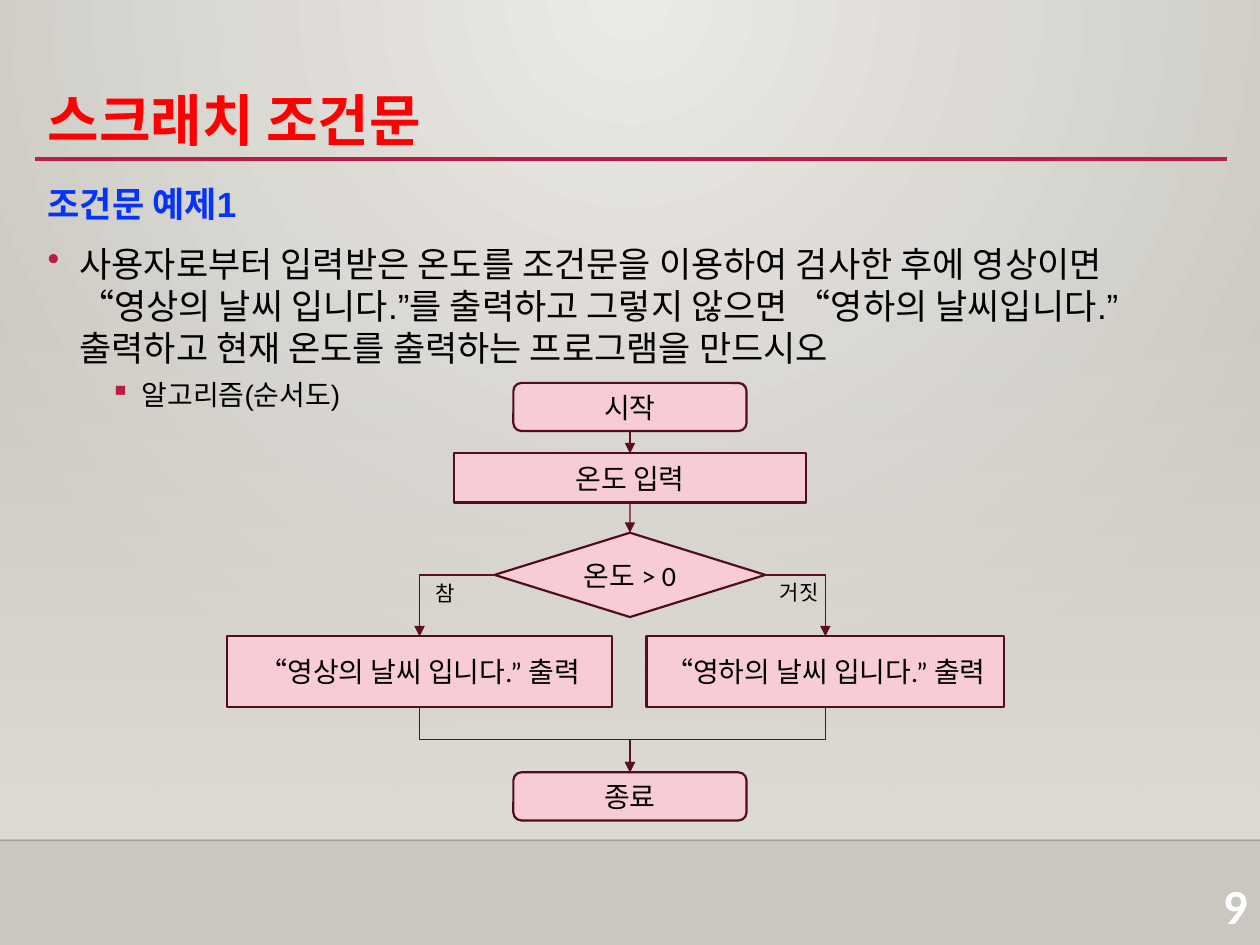
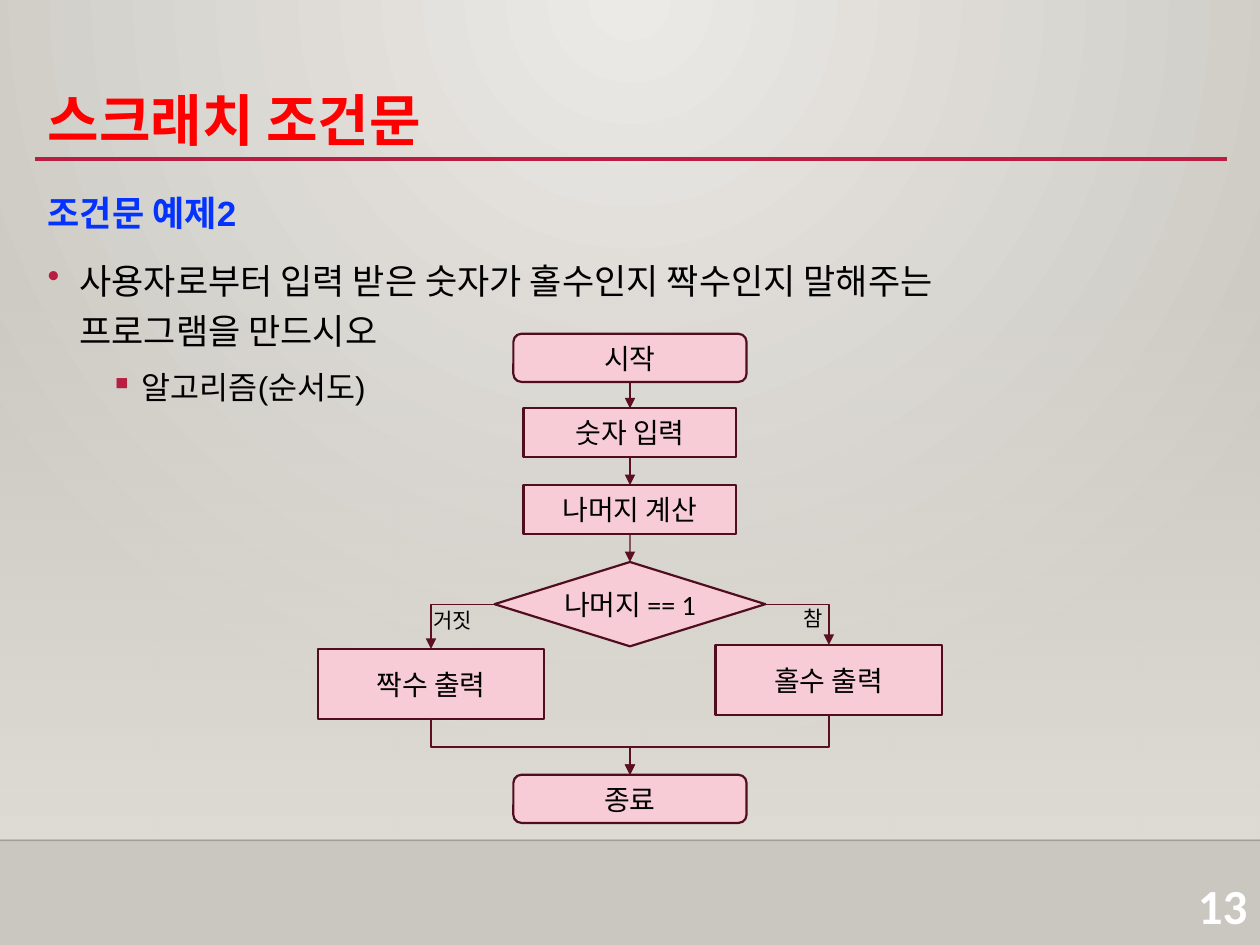
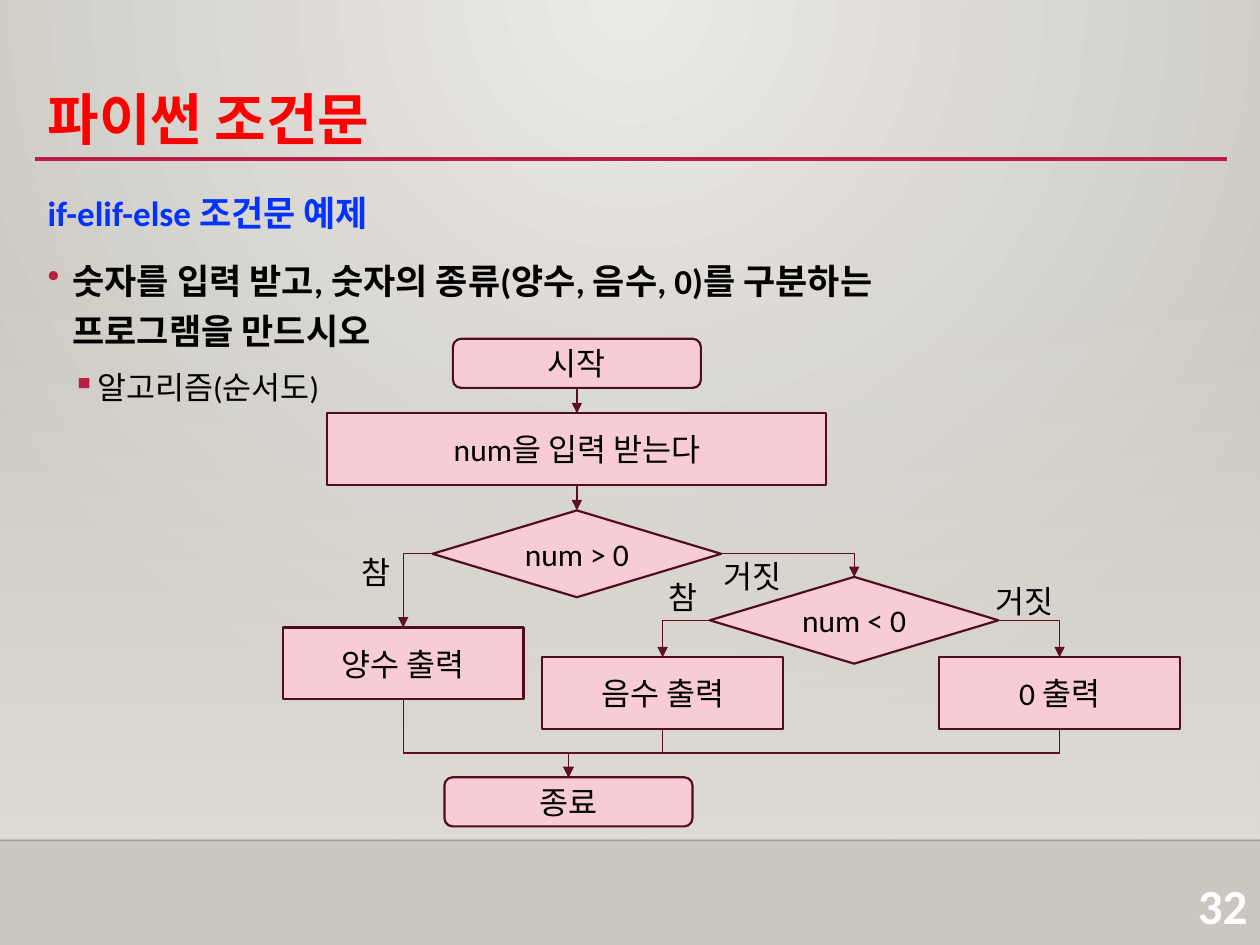
from lxml import etree
from pptx import Presentation
from pptx.dml.color import RGBColor
from pptx.enum import shapes, text
from pptx.oxml.ns import qn
from pptx.util import Cm, Pt

HUES = {
    "glow": "ECEAE7", "edge": "CAC7C1", "band": "DFDBD5", "rule": "B71E42",
    "title": "FF0000", "head": "0432FF", "ink": "000000", "seam": "000001",
    "page": "FFFFFF", "box": "F7CCD6", "rim": "500D1D", "arrow": "5C0F21",
}
RECT = shapes.MSO_SHAPE.RECTANGLE
ROUND = shapes.MSO_SHAPE.FLOWCHART_ALTERNATE_PROCESS
TEST = shapes.MSO_SHAPE.FLOWCHART_DECISION
LINK = shapes.MSO_CONNECTOR
MID = 12.7
TOP, LEFT, BOTTOM, RIGHT = range(4)


def hue(name):
    return RGBColor.from_string(HUES[name])


def add(parent, tag, **attrs):
    return etree.SubElement(parent, qn(tag), attrs)


def style(para, size, color="ink", bold=False, font="Calibri"):
    for run in para.runs:
        run.font.size = Pt(size)
        run.font.name = font
        run.font.bold = bold
        run.font.color.rgb = hue(color)


def blend(fill, first, last):
    fill.gradient()
    for stop, name in zip(fill.gradient_stops, (first, last)):
        stop.color.rgb = hue(name)


def backdrop(master):
    blend(master.background.fill, "glow", "edge")
    grad = master._element.find(".//" + qn("a:gradFill"))
    grad.remove(grad.find(qn("a:lin")))
    focus = add(grad, "a:path", path="circle")
    add(focus, "a:fillToRect", l="43000", t="0", r="43000", b="100000")


def text_box(sld, left, top, width, height):
    box = sld.shapes.add_textbox(Cm(left), Cm(top), Cm(width), Cm(height))
    box.text_frame.word_wrap = True
    return box.text_frame


def finish(con, color, width):
    con.line.color.rgb = hue(color)
    con.line.width = Pt(width)
    add(con._element.spPr, "a:effectLst")


def rule(sld, left, right, y, color, width):
    con = sld.shapes.add_connector(LINK.STRAIGHT, Cm(left), Cm(y), Cm(right), Cm(y))
    finish(con, color, width)
    return con


def frame(sld, title, page, pitch):
    band = sld.shapes.add_shape(RECT, 0, Cm(5.6), Cm(25.4), Cm(11.33))
    band.shadow.inherit = False
    band.line.fill.background()
    blend(band.fill, "band", "band")
    band.fill.gradient_angle = 270
    add(band._element.find(".//" + qn("a:srgbClr")), "a:alpha", val="0")

    seam = rule(sld, 0, 25.4, 16.94, "seam", 1)
    add(seam._element.find(".//" + qn("a:srgbClr")), "a:alpha", val="20000")

    para = text_box(sld, 23.19, 17.53, 2.21, 1.4).paragraphs[0]
    para.text = page
    para.alignment = text.PP_ALIGN.RIGHT
    style(para, 28, "page", True)

    rule(sld, 0.71, 24.74, 3.2, "rule", 2.5)

    tf = text_box(sld, 0.71, 0.28, 24, 2.92)
    tf.vertical_anchor = text.MSO_ANCHOR.BOTTOM
    para = tf.paragraphs[0]
    para.text = title
    para.line_spacing = pitch
    style(para, 32, "title", True)


def bullet(para, mark, left, hang):
    props = para._p.get_or_add_pPr()
    props.set("marL", str(Cm(left)))
    props.set("indent", str(-Cm(hang)))
    tint = add(props, "a:buClr")
    add(tint, "a:srgbClr", val=HUES["rule"])
    add(props, "a:buChar", char=mark)


def body(sld, head, task, pitch=1.2, font="Arial", bold=False, sub=18,
         inset=(0.64, 1.9), hang=0.64):
    tf = text_box(sld, 0.71, 3.56, 24, 13.26)
    first, second, third = tf.paragraphs[0], tf.add_paragraph(), tf.add_paragraph()
    first.text = head
    second.text = task
    third.text = "알고리즘(순서도)"
    bullet(second, "•", inset[0], hang)
    bullet(third, "▪", inset[1], hang)
    third.level = 1
    second.space_before = Pt(10)
    third.space_before = Pt(5)
    for para in tf.paragraphs:
        para.line_spacing = pitch
    style(first, 20, "head", True, font)
    style(second, 20, "ink", bold, font)
    style(third, sub, font=font)


def node(sld, kind, label, mid, top, width, height, size=16):
    box = sld.shapes.add_shape(
        kind, Cm(mid - width / 2), Cm(top), Cm(width), Cm(height))
    box.shadow.inherit = False
    box.fill.solid()
    box.fill.fore_color.rgb = hue("box")
    box.line.color.rgb = hue("rim")
    box.line.width = Pt(1.25)
    tf = box.text_frame
    tf.word_wrap = kind != TEST
    tf.vertical_anchor = text.MSO_ANCHOR.MIDDLE
    tf.text = label
    tf.paragraphs[0].alignment = text.PP_ALIGN.CENTER
    style(tf.paragraphs[0], size)
    return box


def tag(sld, label, left, top, size=12):
    tf = text_box(sld, left, top, 0.51 + 0.036 * size * len(label), 0.25 + 0.04 * size)
    tf.word_wrap = False
    tf.auto_size = text.MSO_AUTO_SIZE.SHAPE_TO_FIT_TEXT
    tf.text = label
    style(tf.paragraphs[0], size)


def link(sld, kind, start, side, end):
    con = sld.shapes.add_connector(kind, 0, 0, 0, 0)
    con.begin_connect(start, side)
    con.end_connect(end, TOP)
    finish(con, "arrow", 0.75)
    add(con.line._get_or_add_ln(), "a:tailEnd", type="triangle")
    return con


def chain(sld, *nodes):
    for start, end in zip(nodes, nodes[1:]):
        link(sld, LINK.STRAIGHT, start, BOTTOM, end)


def branch(sld, test, *ends):
    for end, side in zip(ends, (LEFT, RIGHT)):
        con = link(sld, LINK.ELBOW, test, side, end)
        con._element.spPr.find(qn("a:prstGeom")).set("prst", "bentConnector2")


def merge(sld, level, end, *starts):
    for start in starts:
        con = link(sld, LINK.ELBOW, start, BOTTOM, end)
        x1, y1, x2, y2 = con.begin_x, con.begin_y, con.end_x, con.end_y
        wide, tall = abs(x2 - x1), y2 - y1
        con.left = (x1 + x2 - tall) // 2
        con.top = (y1 + y2 - wide) // 2
        con.width, con.height = tall, wide
        props = con._element.spPr
        turn = 90 if x1 > x2 else 270
        props.xfrm.set("rot", str(turn * 60000))
        props.xfrm.set("flipH", "0" if x1 > x2 else "1")
        ratio = round((Cm(level) - y1) / tall * 100000)
        guides = props.find(qn("a:prstGeom")).find(qn("a:avLst"))
        add(guides, "a:gd", name="adj1", fmla=f"val {ratio}")


def weather(sld):
    frame(sld, "스크래치 조건문", "9", 1.5)
    body(sld, "조건문 예제1",
         "사용자로부터 입력받은 온도를 조건문을 이용하여 검사한 후에 영상이면 "
         "“영상의 날씨 입니다.”를 출력하고 그렇지 않으면 “영하의 날씨입니다.” "
         "출력하고 현재 온도를 출력하는 프로그램을 만드시오", pitch=1.0, sub=16)
    start = node(sld, ROUND, "시작", MID, 7.72, 4.7, 0.97)
    ask = node(sld, RECT, "온도 입력", MID, 9.14, 7.09, 0.99)
    test = node(sld, TEST, "온도 > 0", MID, 10.74, 5.46, 1.7)
    warm = node(sld, RECT, "“영상의 날씨 입니다.” 출력", 8.46, 12.83, 7.77, 1.42)
    cold = node(sld, RECT, "“영하의 날씨 입니다.” 출력", 16.64, 12.83, 7.21, 1.42)
    end = node(sld, ROUND, "종료", MID, 15.57, 4.7, 0.97)
    chain(sld, start, ask, test)
    branch(sld, test, warm, cold)
    merge(sld, 14.91, end, warm, cold)
    tag(sld, "거짓", 15.47, 11.56)
    tag(sld, "참", 8.53, 11.58)


def parity(sld):
    frame(sld, "스크래치 조건문", "13", 1.5)
    body(sld, "조건문 예제2",
         "사용자로부터 입력 받은 숫자가 홀수인지 짝수인지 말해주는 \v프로그램을 만드시오")
    start = node(sld, ROUND, "시작", MID, 6.73, 4.7, 0.97)
    ask = node(sld, RECT, "숫자 입력", MID, 8.23, 4.29, 0.99)
    rest = node(sld, RECT, "나머지 계산", MID, 9.78, 4.29, 0.99)
    test = node(sld, TEST, "나머지 == 1", MID, 11.33, 5.46, 1.7)
    even = node(sld, RECT, "짝수 출력", 8.69, 13.08, 4.57, 1.42)
    odd = node(sld, RECT, "홀수 출력", 16.71, 13, 4.57, 1.42)
    end = node(sld, ROUND, "종료", MID, 15.62, 4.7, 0.97)
    chain(sld, start, ask, rest, test)
    branch(sld, test, even, odd)
    merge(sld, 15.06, end, even, odd)
    tag(sld, "참", 15.95, 12.09)
    tag(sld, "거짓", 8.48, 12.12)


def signs(sld):
    frame(sld, "파이썬 조건문", "32", 0.9)
    body(sld, "if-elif-else 조건문 예제",
         "숫자를 입력 받고, 숫자의 종류(양수, 음수, 0)를 구분하는 \v프로그램을 만드시오",
         font="Calibri", bold=True, inset=(0.5, 1), hang=0.5)
    mid = 11.63
    start = node(sld, ROUND, "시작", mid, 6.83, 5, 0.99, 18)
    ask = node(sld, RECT, "num을 입력 받는다", mid, 8.33, 10.06, 1.45, 18)
    above = node(sld, TEST, "num > 0", mid, 10.29, 5.82, 1.75, 18)
    below = node(sld, TEST, "num < 0", 17.22, 11.63, 5.82, 1.75, 18)
    plus = node(sld, RECT, "양수 출력", 8.13, 12.65, 4.85, 1.45, 18)
    minus = node(sld, RECT, "음수 출력", 13.36, 13.25, 4.85, 1.45, 18)
    zero = node(sld, RECT, "0 출력", 21.36, 13.25, 4.85, 1.45, 18)
    end = node(sld, ROUND, "종료", 11.46, 15.67, 5, 0.99, 18)
    chain(sld, start, ask, above)
    branch(sld, above, plus, below)
    branch(sld, below, minus, zero)
    merge(sld, 15.18, end, plus, minus, zero)
    tag(sld, "참", 7.04, 11.02, 18)
    tag(sld, "거짓", 14.33, 11.1, 18)
    tag(sld, "참", 13.23, 11.53, 18)
    tag(sld, "거짓", 19.81, 11.61, 18)


def main():
    prs = Presentation()
    prs.slide_width, prs.slide_height = Cm(25.4), Cm(19.05)
    backdrop(prs.slide_master)
    for build in (weather, parity, signs):
        build(prs.slides.add_slide(prs.slide_layouts[6]))
    prs.save("out.pptx")


if __name__ == "__main__":
    main()
